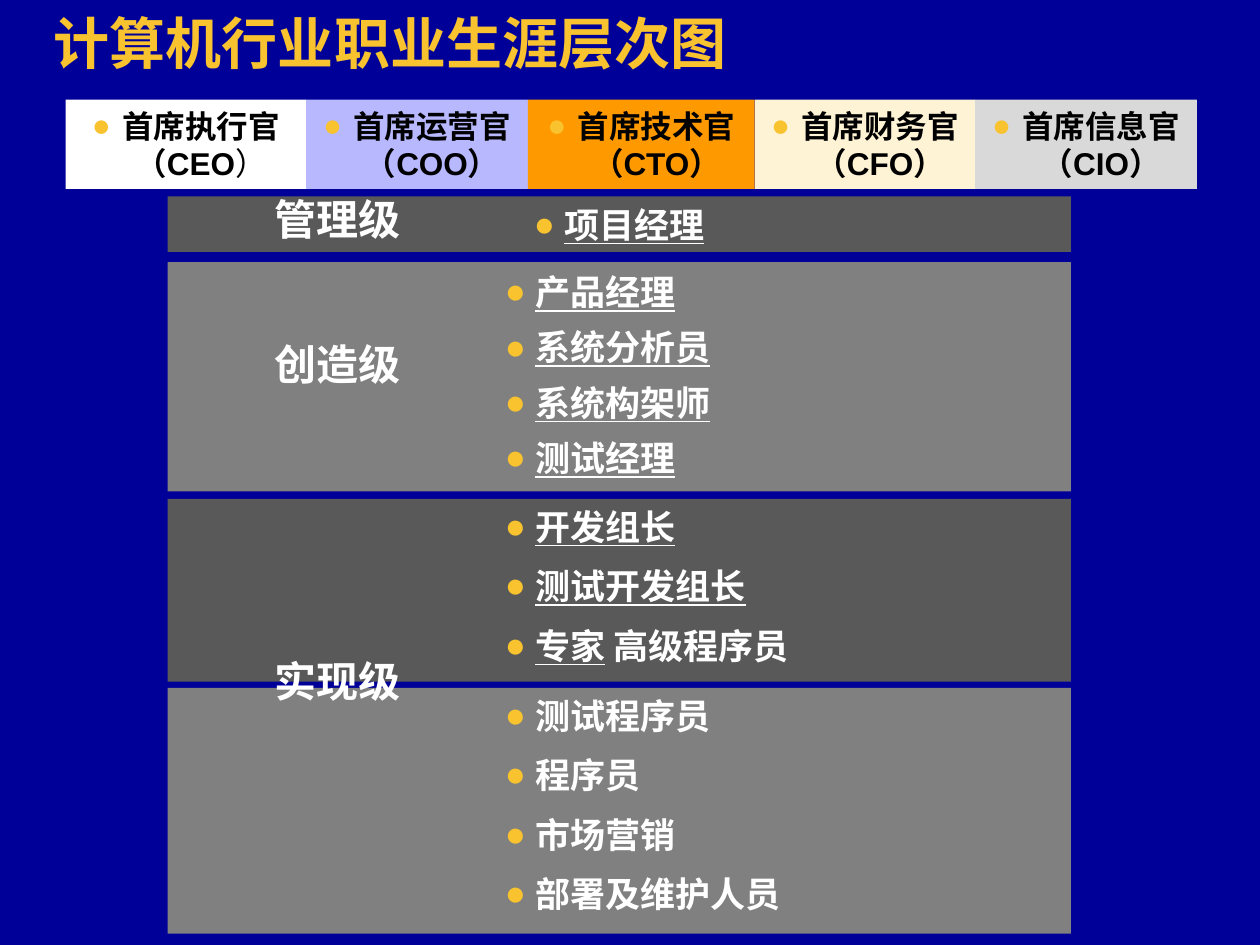
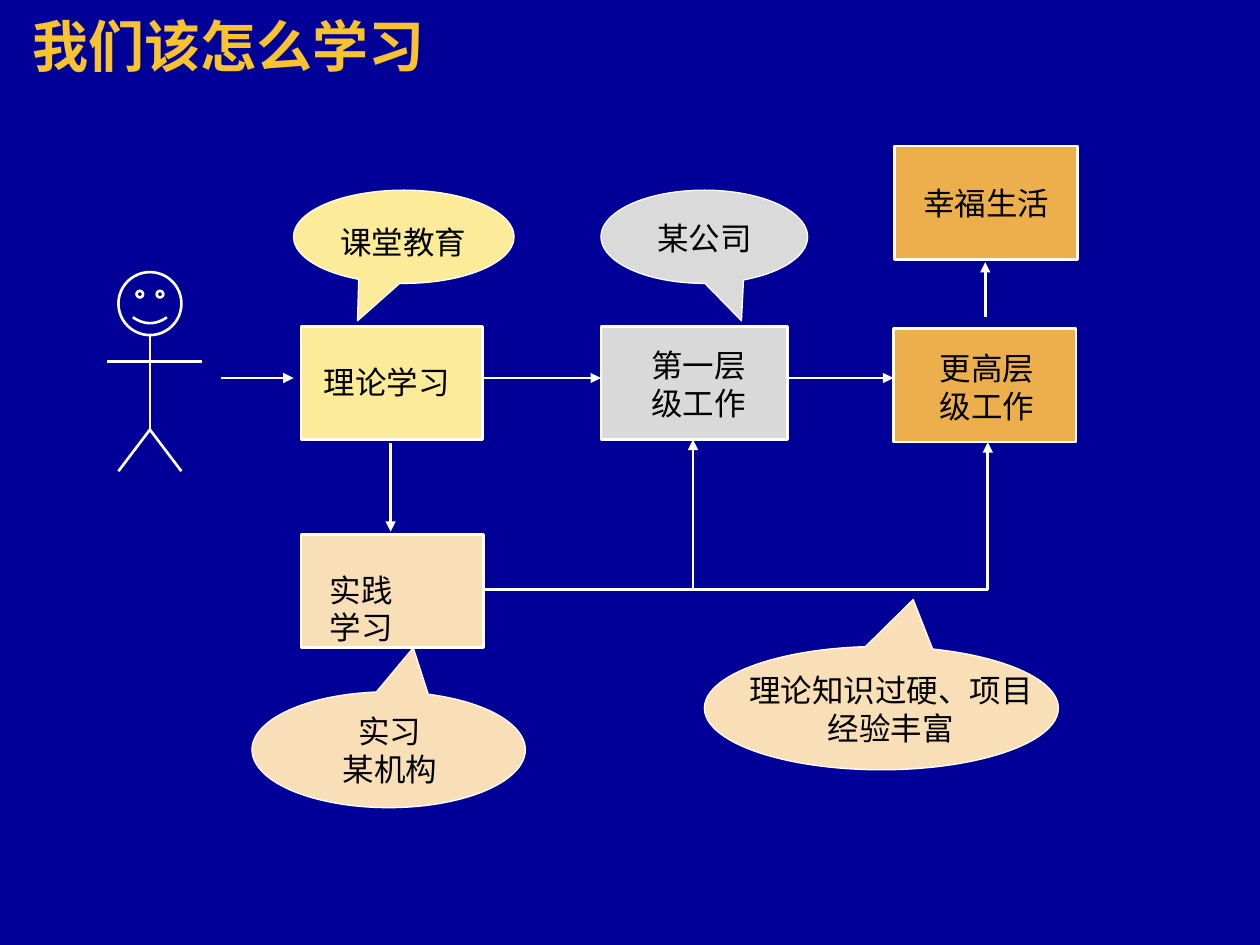
from itertools import accumulate

from lxml import etree
from pptx import Presentation
from pptx import util as u
from pptx.dml.color import RGBColor
from pptx.enum import shapes, text
from pptx.oxml.ns import qn

# Shared style
NAVY, GOLD, WHITE, BLACK = "000099", "F8C32E", "FFFFFF", "000000"
DARK, MID, PALE = "595959", "808080", "D9D9D9"
YELLOW, PEACH, ORANGE = "FCEB98", "F8DFB7", "EDAF4B"
CJK, LATIN = "Noto Sans CJK SC", "Arial"
HANG = 2.4  # columns between a bullet and its text
CENTER = text.PP_ALIGN.CENTER
MIDDLE = text.MSO_ANCHOR.MIDDLE
KIND = shapes.MSO_SHAPE

# Grid of 100 columns by 75 rows; every cell is a square
COLUMNS, ROWS = 100, 75
SLIDE_WIDTH = u.Inches(10)


def cells(*counts):
    return [round(count * SLIDE_WIDTH / COLUMNS) for count in counts]


def color(value):
    return RGBColor.from_string(value)


def child(parent, tag, **attributes):
    return etree.SubElement(parent, qn(tag), attributes)


def add_bullet(para, margin):
    props = para._p.get_or_add_pPr()
    left, hang = cells(margin, HANG)
    props.set("marL", str(left))
    props.set("indent", str(-hang))
    child(child(props, "a:buClr"), "a:srgbClr", val=GOLD)
    child(props, "a:buFont", typeface=LATIN)
    child(props, "a:buChar", char="●")


def add_span(para, words, size, ink, bold=False, underline=False, font=CJK):
    for number, line in enumerate(words.split("\n")):
        if number:
            para.add_line_break()
        span = para.add_run()
        span.text = line
        span.font.size = u.Pt(size)
        span.font.bold = bold
        span.font.underline = underline
        span.font.color.rgb = color(ink)
        span.font.name = font
        child(span._r.get_or_add_rPr(), "a:ea", typeface=CJK)


def write(shape, paragraphs, align=text.PP_ALIGN.LEFT, anchor=text.MSO_ANCHOR.TOP,
          bullet=None, before=0, leading=None, **style):
    """Each paragraph is a string or a list of (words, format changes)."""
    frame = shape.text_frame
    frame.word_wrap = True
    frame.vertical_anchor = anchor
    for number, spans in enumerate(paragraphs):
        para = frame.add_paragraph() if number else frame.paragraphs[0]
        if bullet is not None:
            add_bullet(para, bullet)
        para.alignment = align
        if number and before:
            para.space_before = u.Pt(before)
        if leading:
            para.line_spacing = leading
        for words, changes in [(spans, {})] if isinstance(spans, str) else spans:
            add_span(para, words, **{**style, **changes})


class Painter:
    """Holds the deck and the slide being drawn."""

    def __init__(self):
        self.deck = Presentation()
        self.deck.slide_width, self.deck.slide_height = cells(COLUMNS, ROWS)

    def page(self, title, left, top):
        self.slide = self.deck.slides.add_slide(self.deck.slide_layouts[6])
        fill = self.slide.background.fill
        fill.solid()
        fill.fore_color.rgb = color(NAVY)
        self.label(title, left, top, 93.7, 5.9, size=32, ink=GOLD, bold=True,
                   leading=0.9)

    def label(self, words, left, top, width, height, size=18, ink=BLACK, **style):
        box = self.slide.shapes.add_textbox(*cells(left, top, width, height))
        write(box, [words], size=size, ink=ink, **style)

    def shape(self, left, top, width, height, fill=None, line=None, kind=KIND.RECTANGLE):
        box = self.slide.shapes.add_shape(kind, *cells(left, top, width, height))
        box.shadow.inherit = False
        if fill:
            box.fill.solid()
            box.fill.fore_color.rgb = color(fill)
        else:
            box.fill.background()
        if line:
            box.line.color.rgb = color(WHITE)
            box.line.width = u.Pt(line)
        else:
            box.line.fill.background()
        return box

    def callout(self, left, top, width, height, fill, tip):
        bubble = self.shape(left, top, width, height, fill, 0.75, KIND.OVAL_CALLOUT)
        for number, share in enumerate(tip):
            bubble.adjustments[number] = share

    def line(self, start, end, arrow=False):
        link = self.slide.shapes.add_connector(
            shapes.MSO_CONNECTOR.STRAIGHT, *cells(*start, *end))
        link.line.color.rgb = color(WHITE)
        link.line.width = u.Pt(1.5)
        if arrow:
            child(link.line._get_or_add_ln(), "a:tailEnd", type="triangle")
        child(link._element.spPr, "a:effectLst")


def draw_career_levels(painter):
    painter.page("计算机行业职业生涯层次图", 3.3, 0.8)

    # Row of chief officers
    officers = [
        ("首席执行官", "CEO", 19.1, WHITE),
        ("首席运营官", "COO", 17.6, "B8B8FF"),
        ("首席技术官", "CTO", 18, "FF9900"),
        ("首席财务官", "CFO", 17.5, "FEF3D5"),
        ("首席信息官", "CIO", 17.6, PALE),
    ]
    lefts = accumulate((width for _, _, width, _ in officers), initial=5.2)
    for left, (role, short, width, fill) in zip(lefts, officers):
        box = painter.shape(left, 7.9, width, 7.1, fill)
        closing = {"font": LATIN, "bold": short != "CEO"}
        write(box, [[(role, {}), (f"（{short}", {"font": LATIN}), ("）", closing)]],
              align=CENTER, anchor=MIDDLE, bullet=HANG, size=18, ink=BLACK, bold=True)

    # Bands of roles
    listing = {"bullet": 28.2, "before": 10}
    senior = [("专家", {}), (" ", {"ink": BLACK, "underline": False}),
              ("高级程序员", {"underline": False})]
    bands = [
        (15.6, 4.4, DARK, True, ["项目经理"],
         {"align": CENTER, "anchor": MIDDLE, "bullet": HANG}),
        (20.8, 18.2, MID, True, ["产品经理", "系统分析员", "系统构架师", "测试经理"],
         {**listing, "anchor": MIDDLE, "leading": u.Pt(21.6)}),
        (39.6, 14.5, DARK, True, ["开发组长", "测试开发组长", senior], listing),
        (54.6, 19.5, MID, False, ["测试程序员", "程序员", "市场营销", "部署及维护人员"],
         listing),
    ]
    for top, height, fill, underline, roles, layout in bands:
        band = painter.shape(13.3, top, 71.7, height, fill)
        write(band, roles, size=20, ink=WHITE, bold=True, underline=underline, **layout)

    # Level names
    for level, top in [("管理级", 14.9), ("创造级", 26.4), ("实现级", 51.5)]:
        painter.label(level, 20.8, top, 13.4, 5, size=24, ink=WHITE, bold=True)


def draw_learning_path(painter):
    painter.page("我们该怎么学习", 1.6, 1)

    # Learner
    neck, hips = (11.9, 26.6), (11.9, 34.1)
    painter.shape(9.4, 21.6, 5, 5, line=1.5, kind=KIND.SMILEY_FACE)
    painter.line((8.5, 28.7), (16, 28.7))
    painter.line(neck, hips)
    for foot in (9.4, 14.4):
        painter.line(hips, (foot, 37.4))

    # Steps: box left, top, width, fill, then the label's place
    steps = [
        (23.9, 25.9, 14.4, YELLOW, "理论学习", (24.7, 28.3, 13.6, 4)),
        (23.9, 42.4, 14.5, PEACH, "实践学习", (25.2, 44.8, 7.7, 4)),
        (47.7, 25.9, 14.8, PALE, "第一层级工作", (50.7, 27, 10.4, 7.1)),
        (70.9, 26.1, 14.5, ORANGE, "更高层级工作", (73.6, 27.2, 9.8, 7.1)),
        (71, 11.6, 14.5, ORANGE, "幸福生活", (72.3, 14.1, 12.3, 4)),
    ]
    for left, top, width, fill, words, place in steps:
        painter.shape(left, top, width, 9, fill, 1.5)
        painter.label(words, *place)

    # Callouts: bubble, fill, tip, then the label's place
    upward = (0.09, -0.88)
    callouts = [
        ((23.3, 15.1, 17.5, 7.4), YELLOW, (-0.21, 0.9), "课堂教育",
         (25.8, 17.2, 12.4, 3.3)),
        ((47.7, 15.1, 16.4, 7.4), "DADADA", (0.18, 0.9), "某公司",
         (50.1, 16.9, 11.6, 3.3)),
        ((20, 54.9, 21.7, 9.2), PEACH, upward, "实习\n某机构",
         (24.1, 56, 13.7, 7.1)),
        ((55.9, 51.3, 28.1, 9.8), PEACH, upward, "理论知识过硬、项目经验丰富",
         (58, 52.8, 25.4, 7.1)),
    ]
    for bubble, fill, tip, words, place in callouts:
        painter.callout(*bubble, fill, tip)
        painter.label(words, *place, align=CENTER)

    # Arrows along the path, then the shared line from practice to work
    for left, right in [(17.5, 23.3), (38.3, 47.7), (62.5, 70.9)]:
        painter.line((left, 30), (right, 30), arrow=True)
    for column, start, end in [(31, 35.2, 42.2), (55, 46.8, 34.9),
                               (78.4, 46.8, 35.1), (78.2, 25.2, 20.8)]:
        painter.line((column, start), (column, end), arrow=True)
    painter.line((38.5, 46.8), (78.4, 46.8))


def main():
    painter = Painter()
    draw_career_levels(painter)
    draw_learning_path(painter)
    painter.deck.save("out.pptx")


if __name__ == "__main__":
    main()
